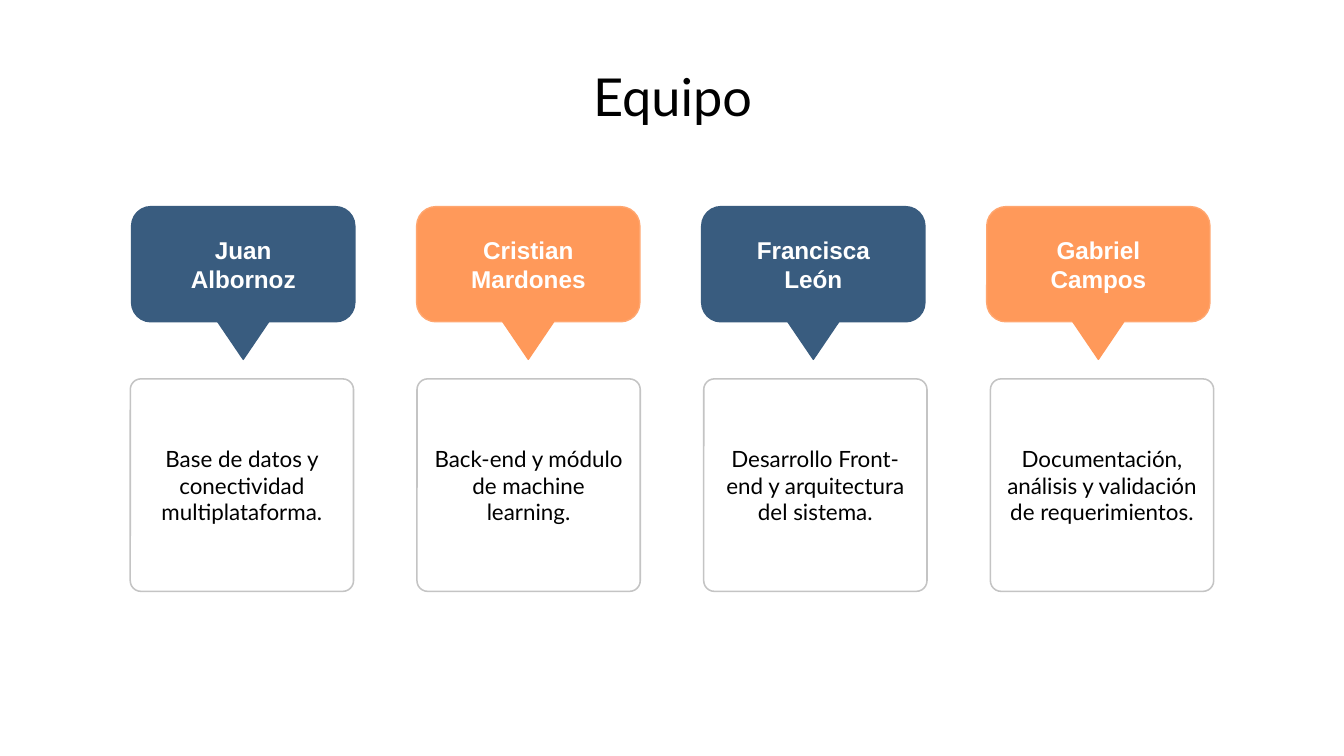
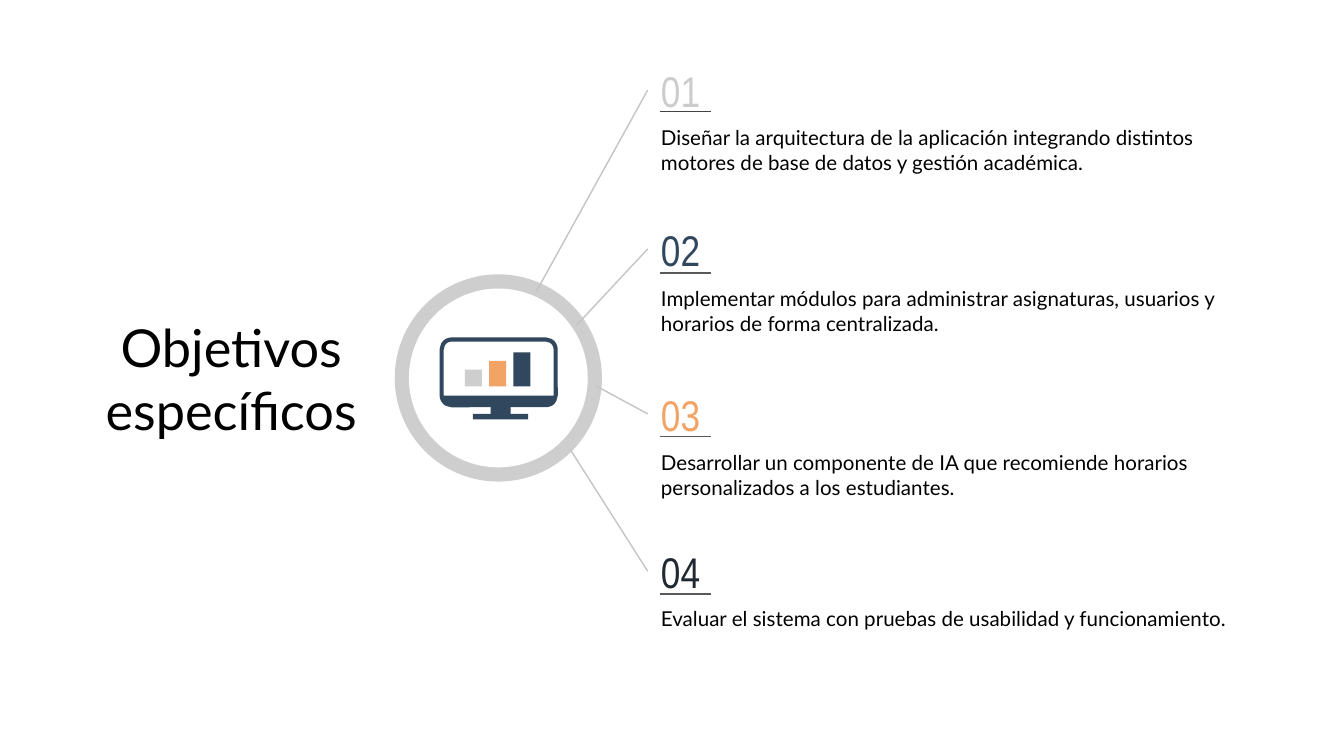
import pptx
import pptx.util
import pptx.dml.color
import pptx.enum.shapes
import pptx.enum.text
import pptx.oxml.ns
import lxml.etree

Pt = pptx.util.Pt
Kind = pptx.enum.shapes.MSO_SHAPE
Align = pptx.enum.text.PP_ALIGN
Anchor = pptx.enum.text.MSO_ANCHOR

BLACK = "000000"
WHITE = "FFFFFF"
GRAY = "C4C4C4"
RING = "CECECE"
NAVY = "30475E"
SAND = "F2A365"
BLUE = "395C7F"
CORAL = "FF995A"
PEACH = "FFA66F"


def color(code):
    return pptx.dml.color.RGBColor.from_string(code)


class Deck:
    body = "Lato"
    inset = 7.2
    thin = 0.75

    def __init__(self):
        self.prs = pptx.Presentation()
        self.prs.slide_width = Pt(720)
        self.prs.slide_height = Pt(405)
        self.slide = None

    def page(self):
        self.slide = self.prs.slides.add_slide(self.prs.slide_layouts[6])
        self.slide.background.fill.solid()
        self.slide.background.fill.fore_color.rgb = color(WHITE)

    def label(self, item, text, size, tint=BLACK, font=None, bold=False,
              align=Align.CENTER, anchor=Anchor.MIDDLE):
        frame = item.text_frame
        frame.word_wrap = True
        frame.vertical_anchor = anchor
        frame.margin_left = frame.margin_right = Pt(self.inset)
        frame.margin_top = frame.margin_bottom = Pt(self.inset)
        frame.text = text
        for para in frame.paragraphs:
            para.alignment = align
            for run in para.runs:
                run.font.name = font or self.body
                run.font.size = Pt(size)
                run.font.bold = bold
                run.font.color.rgb = color(tint)

    def text(self, box, text, size, **style):
        item = self.slide.shapes.add_textbox(*map(Pt, box))
        self.label(item, text, size, **style)
        return item

    def title(self, box, text):
        self.text(box, text, 28)

    def shape(self, kind, box, fill=None, line=None, width=thin, adj=None, turn=0):
        item = self.slide.shapes.add_shape(kind, *map(Pt, box))
        item.shadow.inherit = False
        item.rotation = turn
        if adj is not None:
            item.adjustments[0] = adj
        if fill:
            item.fill.solid()
            item.fill.fore_color.rgb = color(fill)
        else:
            item.fill.background()
        if line:
            item.line.color.rgb = color(line)
            item.line.width = Pt(width)
        else:
            item.line.fill.background()
        return item

    def line(self, start, end, tint, goal=None):
        item = self.slide.shapes.add_connector(
            pptx.enum.shapes.MSO_CONNECTOR.STRAIGHT, *map(Pt, start + end))
        item.line.color.rgb = color(tint)
        item.line.width = Pt(self.thin)
        if goal is not None:
            item.end_connect(goal, 1)
        props = item._element.spPr
        lxml.etree.SubElement(props, pptx.oxml.ns.qn("a:effectLst"))


def team(deck):
    deck.page()
    deck.title((56, 32.4, 608.6, 38.2), "Equipo")
    people = [
        ("Juan\nAlbornoz", "Base de datos y conectividad multiplataforma."),
        ("Cristian Mardones", "Back-end y módulo de machine learning."),
        ("Francisca\nLeón", "Desarrollo Front-end y arquitectura del sistema."),
        ("Gabriel\nCampos", "Documentación, análisis y validación de requerimientos."),
    ]
    for i, (name, role) in enumerate(people):
        fill, edge = [(BLUE, BLUE), (CORAL, PEACH)][i % 2]
        card = deck.shape(Kind.ROUNDED_RECTANGLE, (69.8 + 153.6 * i, 203, 119.6, 113.8),
                          line=GRAY, width=0.81, adj=0.05)
        deck.label(card, role, 12)
        left = 70.5 + 152.7 * i
        head = deck.shape(Kind.ROUNDED_RECTANGLE, (left, 110.7, 119.6, 61.7),
                          fill, edge, adj=0.167)
        deck.label(head, name, 13, tint=WHITE, font="Arial", bold=True)
        deck.shape(Kind.ISOSCELES_TRIANGLE, (left + 46.1, 172.3, 27.4, 20.2),
                   fill, fill, turn=180)


def screen(deck):
    for side, fill in [(111, RING), (95.8, WHITE)]:
        deck.shape(Kind.OVAL, (267 - side / 2, 202.5 - side / 2, side, side), fill)
    deck.shape(Kind.ROUNDED_RECTANGLE, (236.6, 181.9, 61.1, 35.2),
               line=NAVY, width=2.2, adj=0.15)
    deck.shape(Kind.ROUND_2_SAME_RECTANGLE, (236.9, 212, 60.5, 5.4), NAVY,
               adj=0.5, turn=180)
    deck.shape(Kind.RECTANGLE, (262.8, 212.4, 10.8, 10.8), NAVY)
    deck.shape(Kind.RECTANGLE, (253.4, 221.8, 29.6, 2.9), NAVY)
    for i, fill in enumerate([RING, SAND, NAVY]):
        tall = 9 + 4.6 * i
        deck.shape(Kind.RECTANGLE, (249 + 13 * i, 207 - tall, 9.2, tall), fill)


def goals(deck):
    deck.page()
    deck.title((36, 105, 175.7, 195), "Objetivos específicos")
    screen(deck)
    left = 347
    rows = [
        (36, 59.8, "CCCCCC", "434343", (287.3, 156.2),
         "Diseñar la arquitectura de la aplicación integrando distintos "
         "motores de base de datos y gestión académica."),
        (121.1, 146.2, NAVY, "595959", (308.9, 174.2),
         "Implementar módulos para administrar asignaturas, usuarios y "
         "horarios de forma centralizada."),
        (209.5, 234, SAND, "595959", (319, 206.6),
         "Desarrollar un componente de IA que recomiende horarios "
         "personalizados a los estudiantes."),
        (293.8, 318.2, "222831", "595959", (305.3, 240.5),
         "Evaluar el sistema con pruebas de usabilidad y funcionamiento."),
    ]
    for i, (top, rule, tint, dark, start, goal) in enumerate(rows, 1):
        mark = deck.text((left, top, 221.8, 24.5), f"{i:02}", 23, tint=tint,
                         font="Arial Narrow", align=Align.LEFT)
        deck.text((left, rule, 318.2, 31.7), goal, 11,
                  align=Align.LEFT, anchor=Anchor.TOP)
        deck.line((353.5, rule), (380.9, rule), dark)
        deck.line(start, (left, top + 12.25), GRAY, mark)


def main():
    deck = Deck()
    team(deck)
    goals(deck)
    deck.prs.save("out.pptx")


if __name__ == "__main__":
    main()
